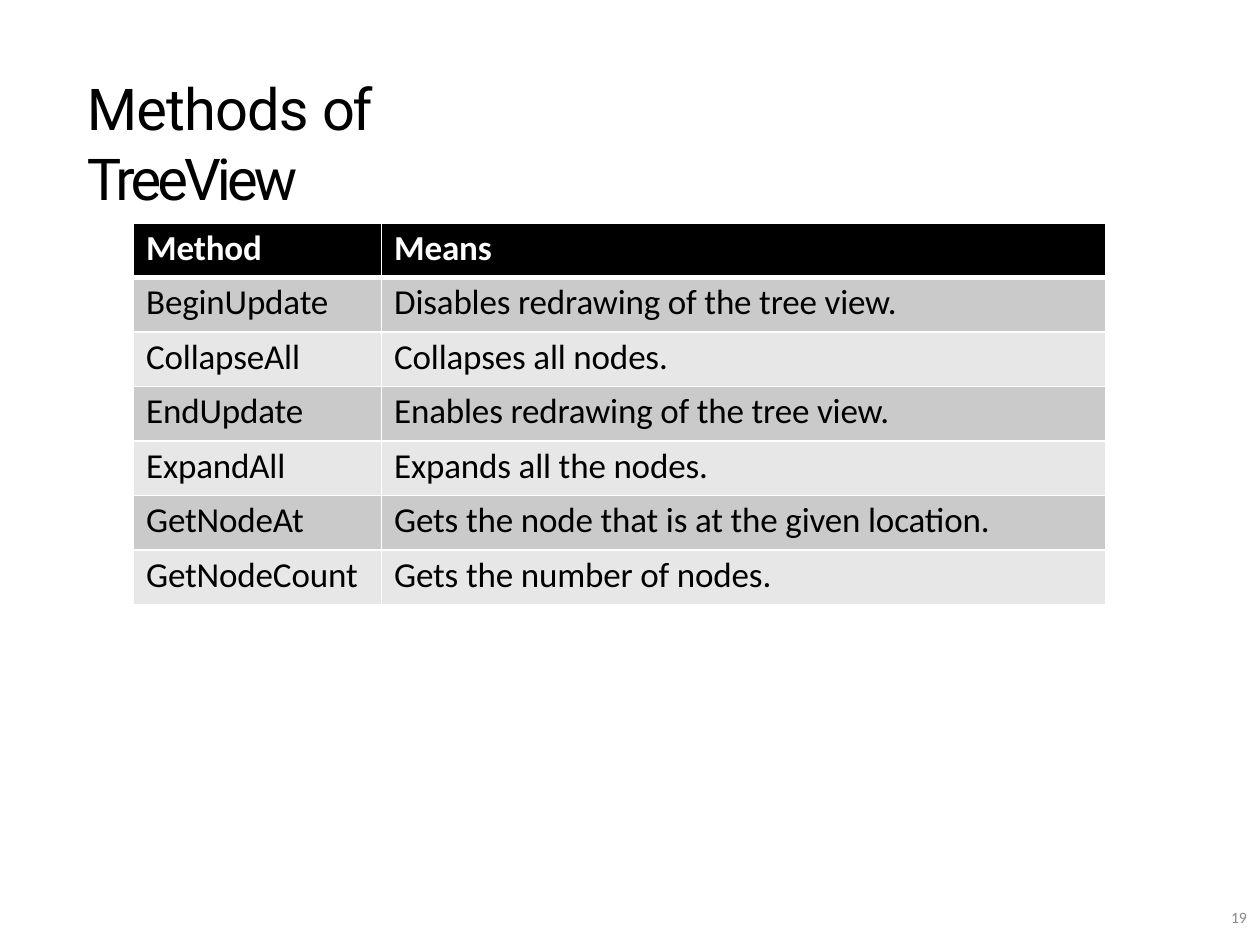
from lxml import etree
from pptx import Presentation
from pptx.dml.color import RGBColor
from pptx.enum.text import MSO_ANCHOR, MSO_AUTO_SIZE, PP_ALIGN
from pptx.oxml.ns import qn
from pptx.util import Inches, Pt

TOP, LEFT = MSO_ANCHOR.TOP, PP_ALIGN.LEFT
GROW = MSO_AUTO_SIZE.SHAPE_TO_FIT_TEXT
TITLE_ONLY = 5

TITLE_BOX = (0.68, 0.57, 3.96, 0.58)
TABLE_BOX = (1.06, 1.77, 7.72, 3.03)
NUMBER_BOX = (9.73, 7.22, 0.21, 0.15)
METHOD_SHARE = 0.255

BLACK, WHITE, GREY = "000000", "FFFFFF", "888888"
BANDS = ("CACACA", "E7E7E7")
TITLE_FONT = {"name": "Roboto", "size": Pt(33), "bold": False}
CELL_FONT = {"name": "Calibri", "size": Pt(20)}
NUMBER_FONT = {"name": "Calibri", "size": Pt(9)}

TITLE = (("Methods ", -0.5), ("of ", -1.4), ("TreeView", -2.2))
ROWS = (
    ("Method", "Means"),
    ("BeginUpdate", "Disables redrawing of the tree view."),
    ("CollapseAll", "Collapses all nodes."),
    ("EndUpdate", "Enables redrawing of the tree view."),
    ("ExpandAll", "Expands all the nodes."),
    ("GetNodeAt", "Gets the node that is at the given location."),
    ("GetNodeCount", "Gets the number of nodes."),
)


def color(value):
    return RGBColor.from_string(value)


def assign(target, values):
    for name, value in values.items():
        setattr(target, name, value)


def add_span(para, text, font, ink, tracking=0):
    """Add a run with its font, colour and letter spacing in points."""
    span = para.add_run()
    span.text = text
    assign(span.font, font)
    span.font.color.rgb = color(ink)
    if tracking:
        span.font._element.set("spc", str(round(tracking * 100)))


def indent(para, inches):
    para._p.get_or_add_pPr().set("marL", str(Inches(inches)))
    para._p.get_or_add_pPr().set("indent", "0")


def set_frame(frame, top_margin=0):
    assign(frame, {"margin_left": 0, "margin_right": 0, "margin_bottom": 0,
                   "margin_top": Inches(top_margin), "word_wrap": True,
                   "auto_size": GROW, "vertical_anchor": TOP})


def set_borders(cell, widths):
    """Draw white borders; widths maps a side (L, R, T, B) to points."""
    properties = cell._tc.get_or_add_tcPr()
    for side, width in widths.items():
        line = etree.SubElement(properties, qn("a:ln" + side), w=str(Pt(width)))
        fill = etree.SubElement(line, qn("a:solidFill"))
        etree.SubElement(fill, qn("a:srgbClr"), val=WHITE)


def add_title(page, box):
    title = page.shapes.title
    assign(title, dict(zip(("left", "top", "width", "height"), map(Inches, box))))
    set_frame(title.text_frame, 0.01)
    para = title.text_frame.paragraphs[0]
    indent(para, 0.01)
    para.alignment = LEFT
    for text, tracking in TITLE:
        add_span(para, text, TITLE_FONT, BLACK, tracking)


def fill_cell(cell, text, row):
    header = row == 0
    set_borders(cell, {"L": 1, "R": 1, "T": 3 if row == 1 else 1,
                       "B": 3 if header else 1})
    cell.fill.solid()
    cell.fill.fore_color.rgb = color(BLACK if header else BANDS[(row - 1) % 2])
    assign(cell, {"margin_left": 0, "margin_right": 0, "margin_bottom": 0,
                  "margin_top": Inches(0.03), "vertical_anchor": TOP})
    para = cell.text_frame.paragraphs[0]
    indent(para, 0.1)
    para.space_before = Pt(2.4)
    add_span(para, text, {**CELL_FONT, "bold": header},
             WHITE if header else BLACK, -0.1)


def add_method_table(page, box):
    left, top, width, height = map(Inches, box)
    table = page.shapes.add_table(len(ROWS), 2, left, top, width, height).table
    for column, share in zip(table.columns, (METHOD_SHARE, 1 - METHOD_SHARE)):
        column.width = round(width * share)
    for row, texts in enumerate(ROWS):
        for column, text in enumerate(texts):
            fill_cell(table.cell(row, column), text, row)


def add_page_number(page, box, number):
    frame = page.shapes.add_textbox(*map(Inches, box)).text_frame
    set_frame(frame)
    para = frame.paragraphs[0]
    indent(para, 0.04)
    para.line_spacing = Pt(9.6)
    add_span(para, number, NUMBER_FONT, GREY)


def main():
    deck = Presentation()
    deck.slide_width, deck.slide_height = Inches(10), Inches(7.5)
    page = deck.slides.add_slide(deck.slide_layouts[TITLE_ONLY])
    add_page_number(page, NUMBER_BOX, "19")
    add_title(page, TITLE_BOX)
    add_method_table(page, TABLE_BOX)
    deck.save("out.pptx")


if __name__ == "__main__":
    main()
